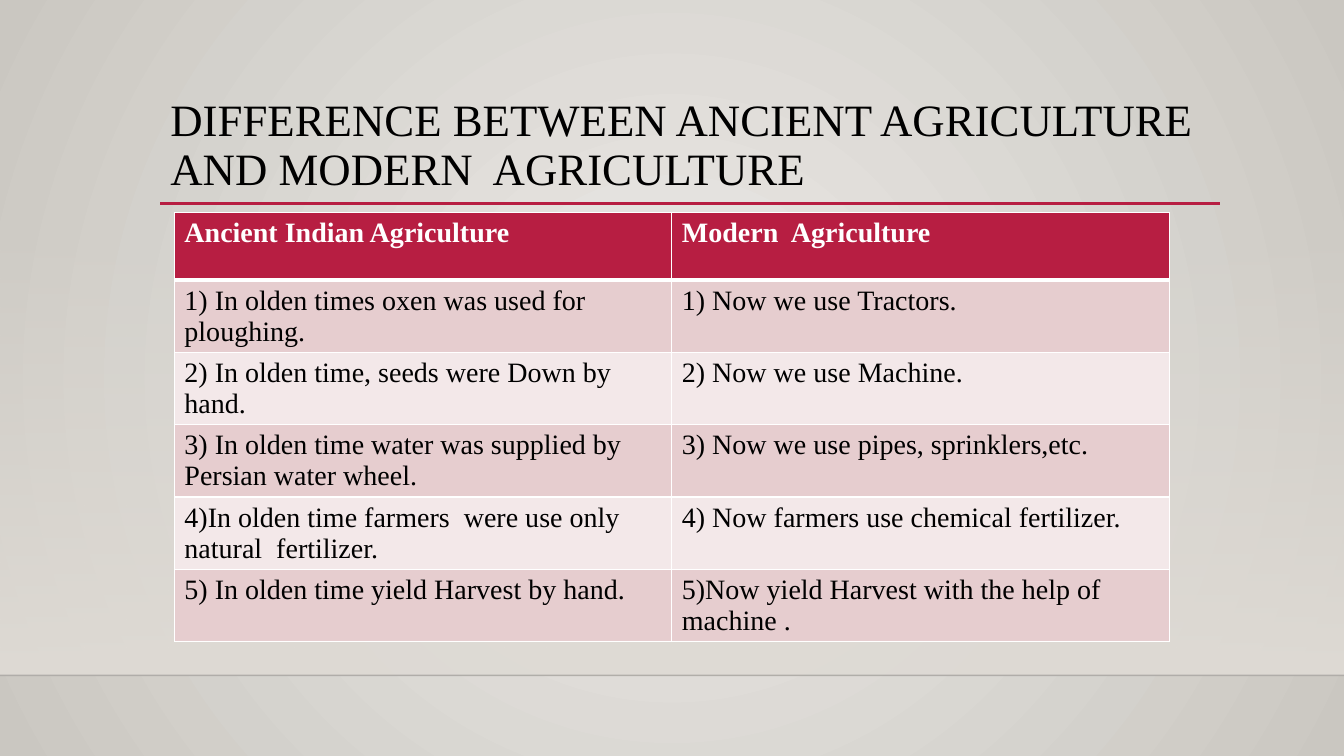
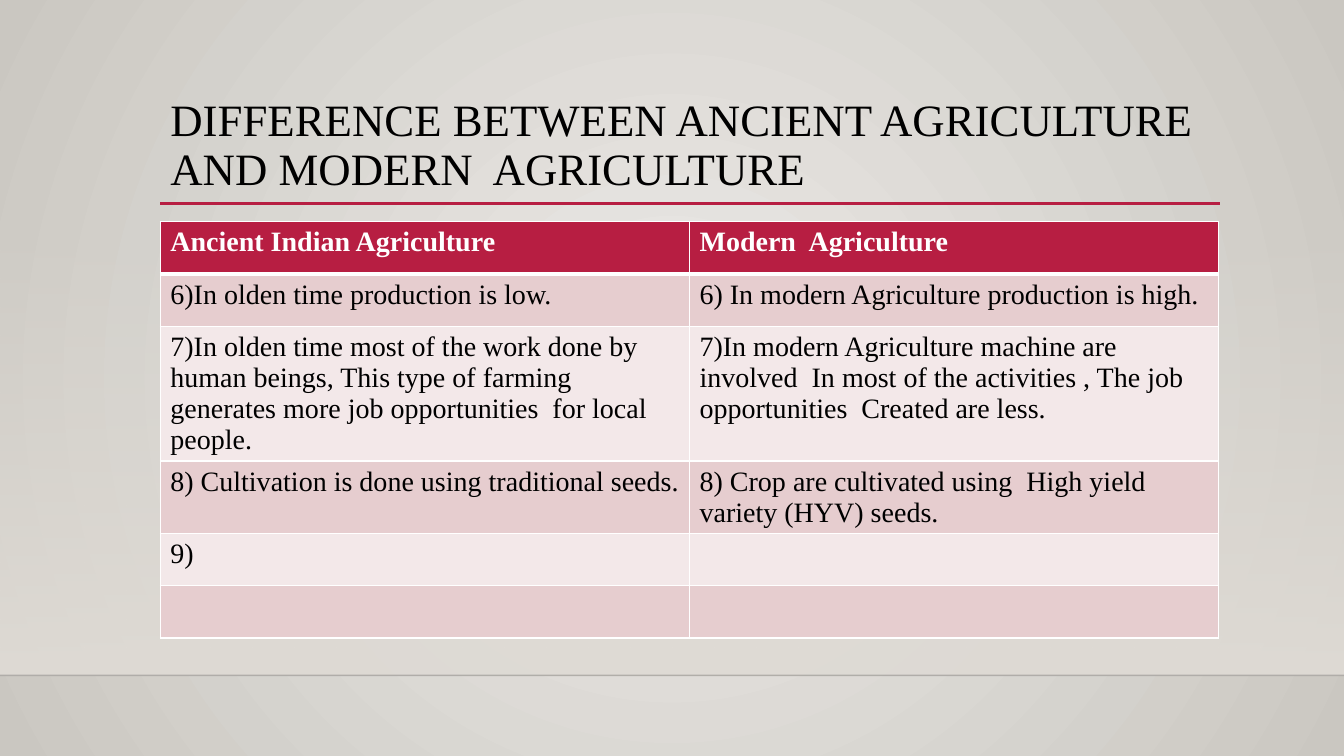
from lxml import etree
from pptx import Presentation
from pptx.dml.color import RGBColor
from pptx.enum.shapes import MSO_CONNECTOR, MSO_SHAPE
from pptx.enum.text import MSO_ANCHOR, MSO_AUTO_SIZE, PP_ALIGN
from pptx.oxml import parse_xml
from pptx.oxml.ns import nsdecls, qn
from pptx.util import Pt

RECT = MSO_SHAPE.RECTANGLE
STRAIGHT = MSO_CONNECTOR.STRAIGHT
LEFT = PP_ALIGN.LEFT
MIDDLE = MSO_ANCHOR.MIDDLE
NO_FIT = MSO_AUTO_SIZE.NONE

CRIMSON = RGBColor(0xB7, 0x1E, 0x42)
ROSE = RGBColor(0xE6, 0xCD, 0xCF)
BLUSH = RGBColor(0xF3, 0xE8, 0xE9)
WHITE = RGBColor(0xFF, 0xFF, 0xFF)
BLACK = RGBColor(0, 0, 0)
INK = RGBColor(0, 0, 1)
SAND = RGBColor(0xDF, 0xDB, 0xD5)
PAPER = RGBColor(0xEC, 0xEA, 0xE7)
STONE = RGBColor(0xCA, 0xC7, 0xC1)

FONT = "Times New Roman"
TITLE_FONT = {"name": FONT, "size": Pt(32), "bold": False}
HEAD_FONT = {"name": FONT, "size": Pt(20), "bold": True}
BODY_FONT = {"name": FONT, "size": Pt(20), "bold": False}

SLIDE_W, SLIDE_H = 960, 540
BAND = (0, 159.12, SLIDE_W, 323.28)
TITLE_BOX = (114.48, 63.36, 756, 82.8)
RULE = (114.48, 145.44, 871.2, 145.44)

TITLE = "DIFFERENCE BETWEEN ANCIENT AGRICULTURE  AND MODERN  AGRICULTURE"
HEADER = ("Ancient Indian Agriculture", "Modern  Agriculture")
SLIDES = [
    ((124.56, 151.92, 710.64), 48.24, [
        ("1) In olden times oxen was used for ploughing.", "1) Now we use Tractors."),
        ("2) In olden time, seeds were Down by hand.", "2) Now we use Machine."),
        ("3) In olden time water was supplied by Persian water wheel.",
         "3) Now we use pipes, sprinklers,etc."),
        ("4)In olden time farmers  were use only natural  fertilizer.",
         "4) Now farmers use chemical fertilizer."),
        ("5) In olden time yield Harvest by hand.",
         "5)Now yield Harvest with the help of machine ."),
    ]),
    ((114.48, 158.4, 756), 37.44, [
        ("6)In olden time production is low.",
         "6) In modern Agriculture production is high."),
        ("7)In olden time most of the work done by human beings, This type of farming "
         "generates more job opportunities  for local people.",
         "7)In modern Agriculture machine are involved  In most of the activities , "
         "The job opportunities  Created are less."),
        ("8) Cultivation is done using traditional seeds.",
         "8) Crop are cultivated using  High yield variety (HYV) seeds."),
        ("9)", ""),
        ("", ""),
    ]),
]


def set_attrs(obj, values):
    for name, value in values.items():
        setattr(obj, name, value)


def set_gradient(fill_parent, fill, stops, shading):
    fill.gradient()
    old = fill_parent.find(qn("a:gradFill"))
    gs = "".join(
        f'<a:gs pos="{pos * 1000}"><a:srgbClr val="{color}">'
        f'<a:alpha val="{alpha * 1000}"/></a:srgbClr></a:gs>'
        for pos, color, alpha in stops)
    new = parse_xml(f'<a:gradFill {nsdecls("a")} rotWithShape="1">'
                    f'<a:gsLst>{gs}</a:gsLst>{shading}</a:gradFill>')
    fill_parent.replace(old, new)


def set_background(master):
    fill = master.background.fill
    bg_pr = master.element.find(".//" + qn("p:bgPr"))
    set_gradient(bg_pr, fill, [(0, PAPER, 100), (100, STONE, 100)],
                 '<a:path path="circle">'
                 '<a:fillToRect l="50000" t="50000" r="50000" b="50000"/></a:path>')


def add_line(slide, ends, color, width, alpha=100):
    cn = slide.shapes.add_connector(STRAIGHT, *map(Pt, ends))
    cn.line.color.rgb = color
    cn.line.width = Pt(width)
    sp_pr = cn._element.spPr
    etree.SubElement(sp_pr, qn("a:effectLst"))
    if alpha < 100:
        clr = sp_pr.find(".//" + qn("a:srgbClr"))
        etree.SubElement(clr, qn("a:alpha"), val=str(alpha * 1000))


def add_frame(slide):
    x, y, w, h = BAND
    sp = slide.shapes.add_shape(RECT, *map(Pt, BAND))
    sp.shadow.inherit = False
    sp.line.fill.background()
    set_gradient(sp._element.spPr, sp.fill, [(0, SAND, 0), (100, SAND, 100)],
                 '<a:lin ang="5400000" scaled="0"/>')
    add_line(slide, (x, y + h, x + w, y + h), INK, 1, alpha=20)
    add_line(slide, RULE, CRIMSON, 2.5)


def add_title(slide, box, text):
    sp = slide.shapes.title
    set_attrs(sp, dict(zip(("left", "top", "width", "height"), map(Pt, box))))
    tf = sp.text_frame
    tf.text = text
    set_attrs(tf, {"word_wrap": True, "auto_size": NO_FIT, "vertical_anchor": MIDDLE})
    p = tf.paragraphs[0]
    set_attrs(p, {"alignment": LEFT, "line_spacing": 0.9})
    set_attrs(p.runs[0].font, TITLE_FONT)
    p.runs[0].font.color.rgb = BLACK


def set_borders(cell, widths):
    tc_pr = cell._tc.get_or_add_tcPr()
    for i, (side, width) in enumerate(widths.items()):
        tc_pr.insert(i, parse_xml(
            f'<a:ln{side} {nsdecls("a")} w="{Pt(width)}"><a:solidFill>'
            f'<a:srgbClr val="{WHITE}"/></a:solidFill></a:ln{side}>'))


def format_cell(cell, text, row):
    is_head = row == 0
    cell.fill.solid()
    cell.fill.fore_color.rgb = CRIMSON if is_head else (BLUSH, ROSE)[row % 2]
    set_borders(cell, {"L": 1, "R": 1, "T": 3 if row == 1 else 1, "B": 3 if is_head else 1})
    if text:
        cell.text = text
        font = cell.text_frame.paragraphs[0].runs[0].font
        set_attrs(font, HEAD_FONT if is_head else BODY_FONT)
        font.color.rgb = WHITE if is_head else BLACK


def add_comparison(slide, box, row_h, rows):
    x, y, w = box
    rows = [HEADER, *rows]
    frame = slide.shapes.add_table(len(rows), len(HEADER), Pt(x), Pt(y), Pt(w),
                                   Pt(row_h * len(rows)))
    table = frame.table
    for col in table.columns:
        col.width = Pt(w / len(HEADER))
    for i, texts in enumerate(rows):
        table.rows[i].height = Pt(row_h)
        for j, text in enumerate(texts):
            format_cell(table.cell(i, j), text, i)


def main():
    prs = Presentation()
    set_attrs(prs, {"slide_width": Pt(SLIDE_W), "slide_height": Pt(SLIDE_H)})
    set_background(prs.slide_master)
    for box, row_h, rows in SLIDES:
        slide = prs.slides.add_slide(prs.slide_layouts[5])
        add_frame(slide)
        add_title(slide, TITLE_BOX, TITLE)
        add_comparison(slide, box, row_h, rows)
    prs.save("out.pptx")


if __name__ == "__main__":
    main()
